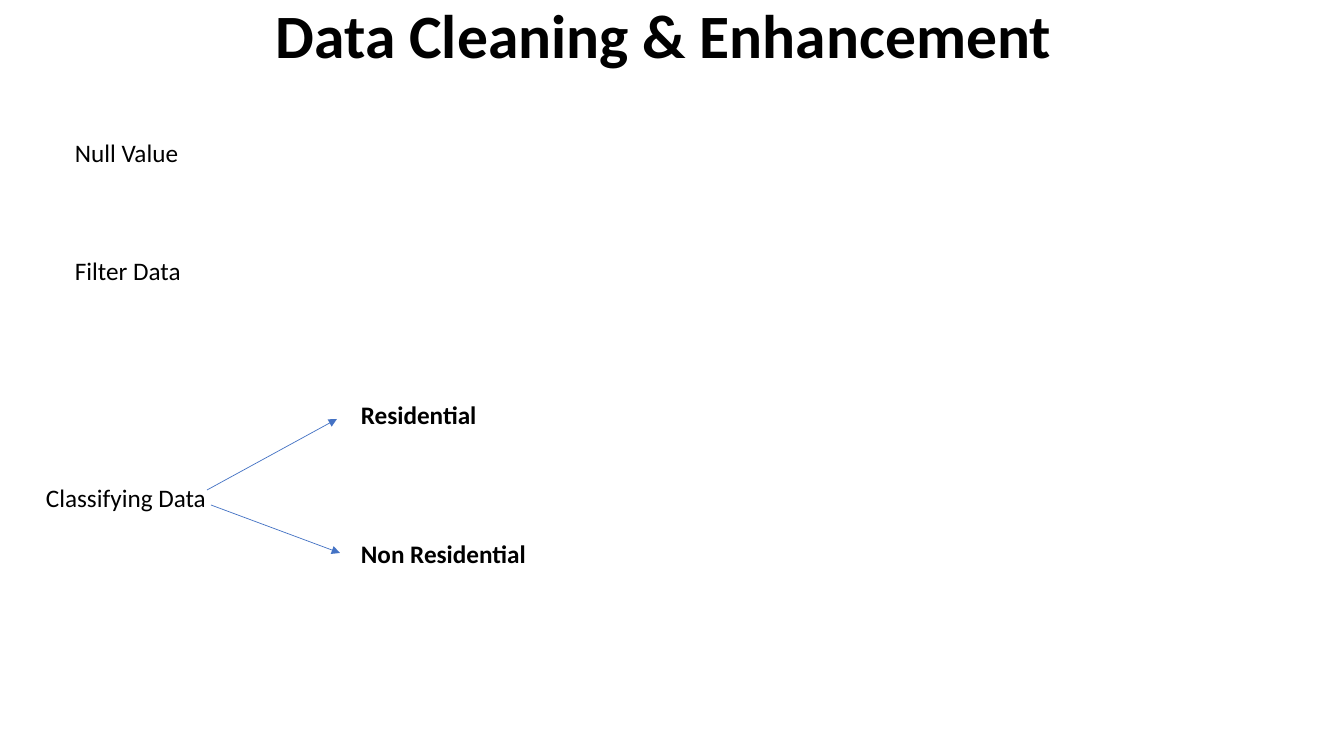
from lxml.etree import SubElement
from pptx import Presentation
from pptx.dml.color import RGBColor
from pptx.enum.shapes import MSO_CONNECTOR
from pptx.enum.text import MSO_ANCHOR, MSO_AUTO_SIZE, PP_ALIGN
from pptx.oxml.ns import qn
from pptx.util import Pt

EMU_PER_PX = 914400 / 100.8
COLORS = {"background": "FFFFFF", "text": "000000", "arrow": "4472C4"}
FONT = "Calibri"
LABEL_HEIGHT = 40


def px(length):
    return round(length * EMU_PER_PX)


def write_text(shape, text, size=18, bold=False, align=PP_ALIGN.LEFT,
               line_spacing=1.0, auto_size=MSO_AUTO_SIZE.SHAPE_TO_FIT_TEXT):
    frame = shape.text_frame
    frame.word_wrap = True
    frame.auto_size = auto_size
    frame.vertical_anchor = MSO_ANCHOR.TOP
    paragraph = frame.paragraphs[0]
    paragraph.text = text
    paragraph.alignment = align
    paragraph.line_spacing = line_spacing
    paragraph.space_before = Pt(0)
    font = paragraph.runs[0].font
    font.name = FONT
    font.size = Pt(size)
    font.bold = bold
    font.color.rgb = RGBColor.from_string(COLORS["text"])


def add_label(slide, text, left, top, width, **text_format):
    box = slide.shapes.add_textbox(px(left), px(top), px(width), px(LABEL_HEIGHT))
    write_text(box, text, **text_format)


def add_arrow(slide, start, end):
    points = [px(length) for length in (*start, *end)]
    arrow = slide.shapes.add_connector(MSO_CONNECTOR.STRAIGHT, *points)
    arrow.line.color.rgb = RGBColor.from_string(COLORS["arrow"])
    arrow.line.width = Pt(0.5)
    SubElement(arrow.line._get_or_add_ln(), qn("a:tailEnd"), type="triangle")
    SubElement(arrow._element.spPr, qn("a:effectLst"))


def add_title(slide, left, top, width, height):
    title = slide.shapes.title
    title.left, title.top = px(left), px(top)
    title.width, title.height = px(width), px(height)
    write_text(title, "Data Cleaning & Enhancement", size=44, bold=True,
               align=PP_ALIGN.CENTER, line_spacing=0.9,
               auto_size=MSO_AUTO_SIZE.NONE)


def add_cleaning_steps(slide, left, top, width, pitch):
    for index, step in enumerate(("Null Value", "Filter Data")):
        add_label(slide, step, left, top + index * pitch, width)


def add_classification(slide, left, top):
    add_label(slide, "Classifying Data", left, top + 83, 225)
    branches = (
        ("Residential", 0, (171, 96), (301, 25)),
        ("Non Residential", 139, (175, 111), (304, 159)),
    )
    for name, offset, start, end in branches:
        add_arrow(slide, (left + start[0], top + start[1]),
                  (left + end[0], top + end[1]))
        add_label(slide, name, left + 315, top + offset, 250, bold=True)


def main():
    presentation = Presentation()
    presentation.slide_width, presentation.slide_height = px(1344), px(756)
    slide = presentation.slides.add_slide(presentation.slide_layouts[5])
    fill = slide.background.fill
    fill.solid()
    fill.fore_color.rgb = RGBColor.from_string(COLORS["background"])
    add_title(slide, 0, 0, 1328, 80)
    add_cleaning_steps(slide, 65, 132, 314, 118)
    add_classification(slide, 36, 394)
    presentation.save("out.pptx")


if __name__ == "__main__":
    main()
